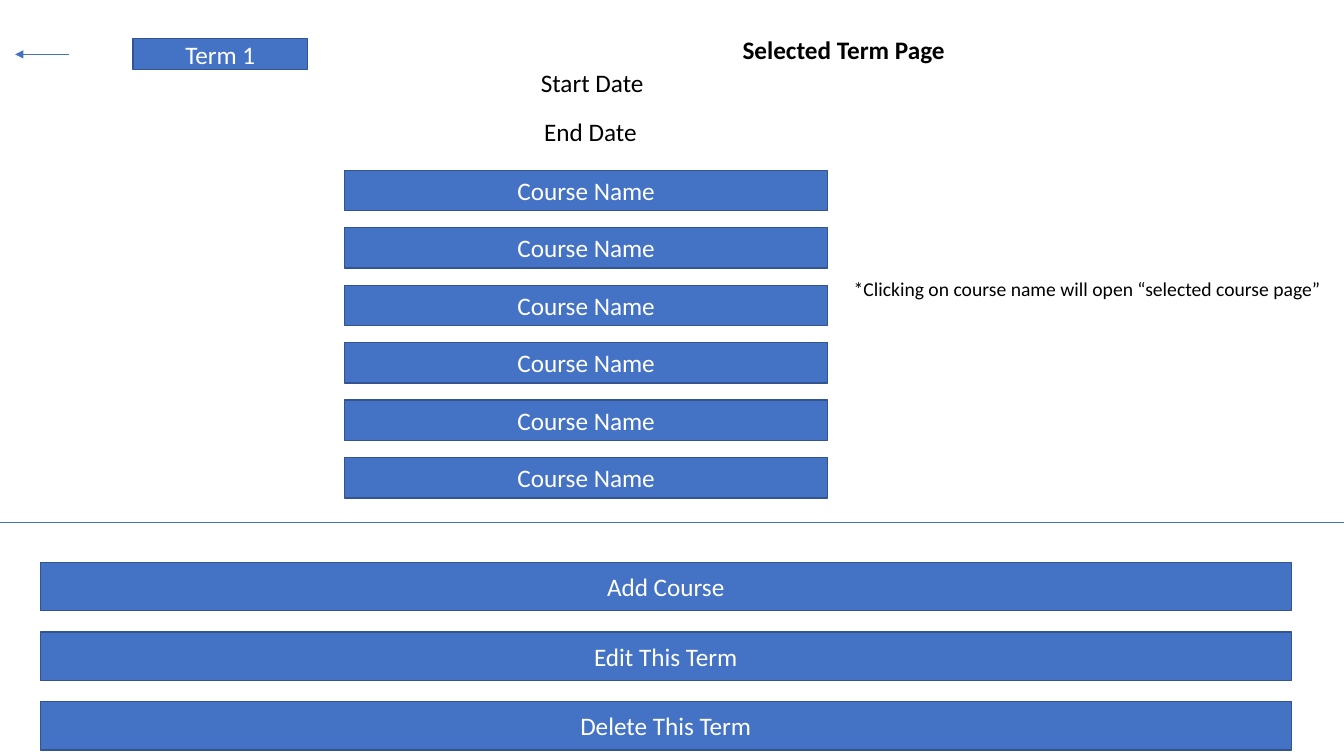
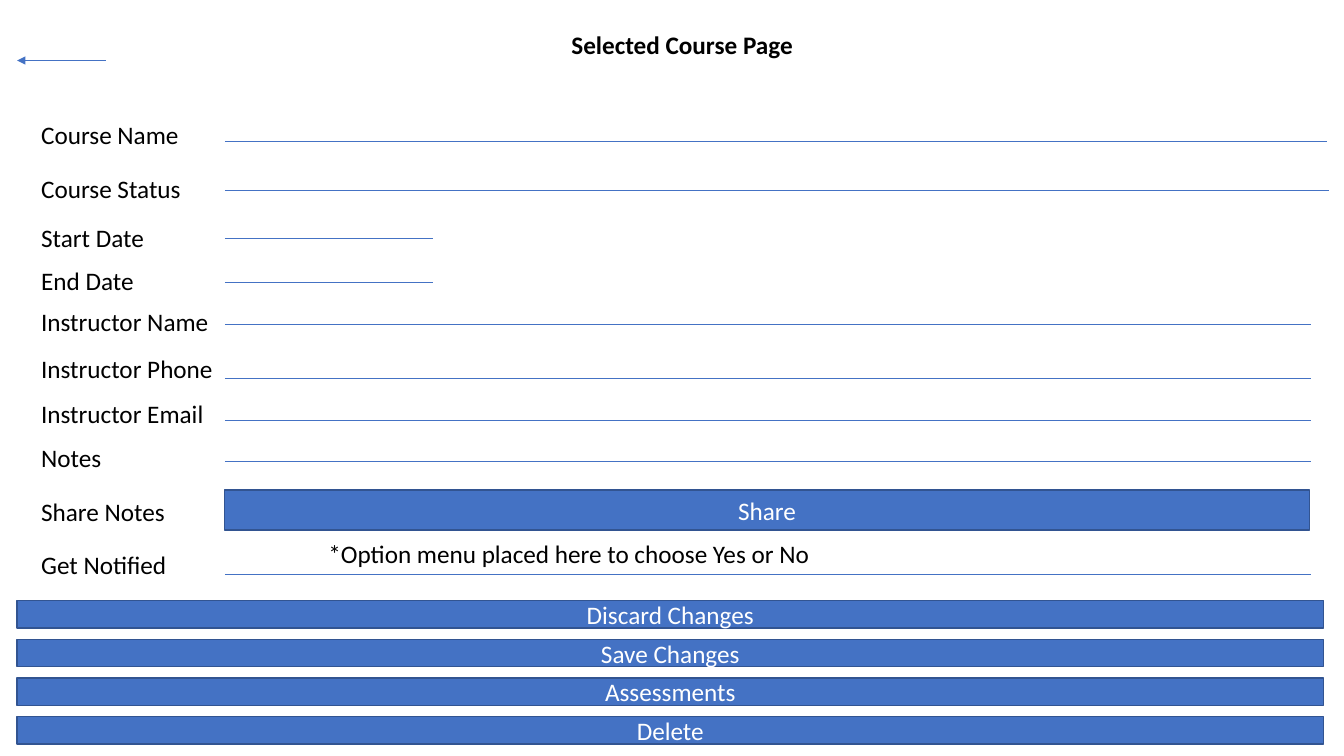
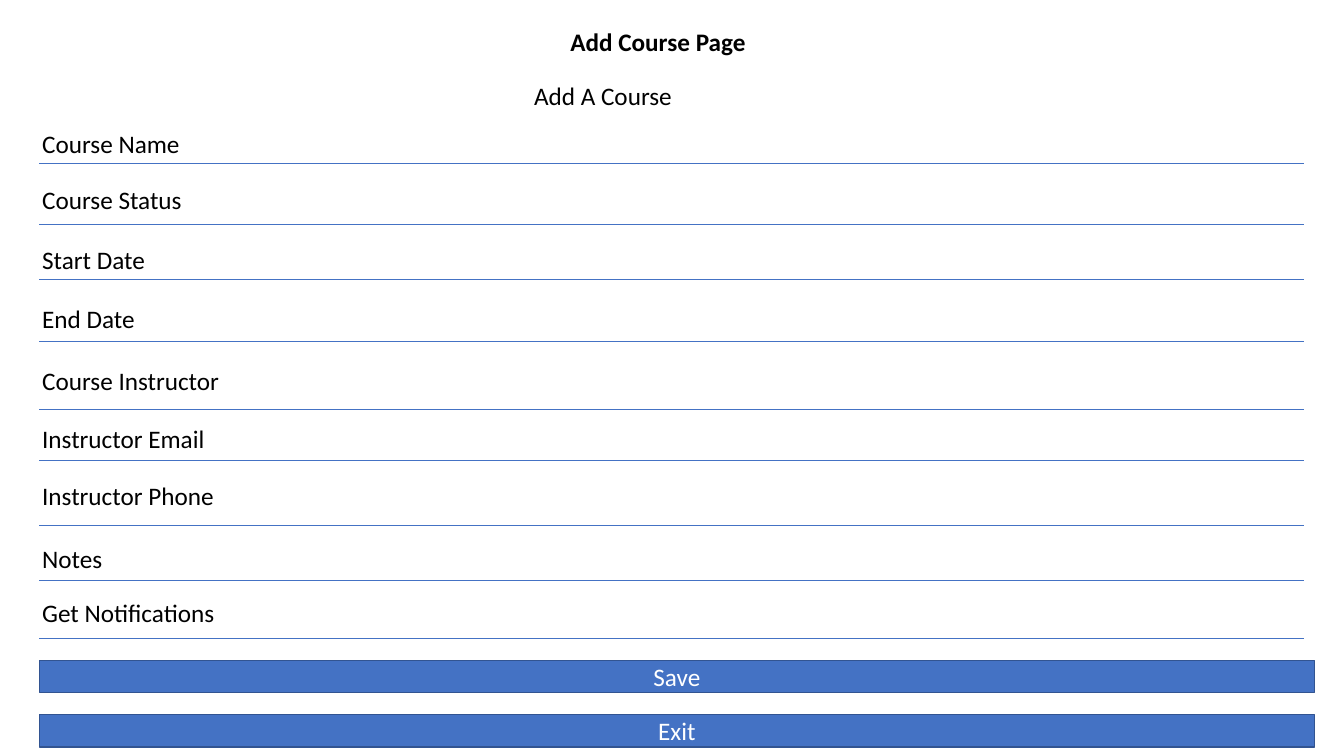
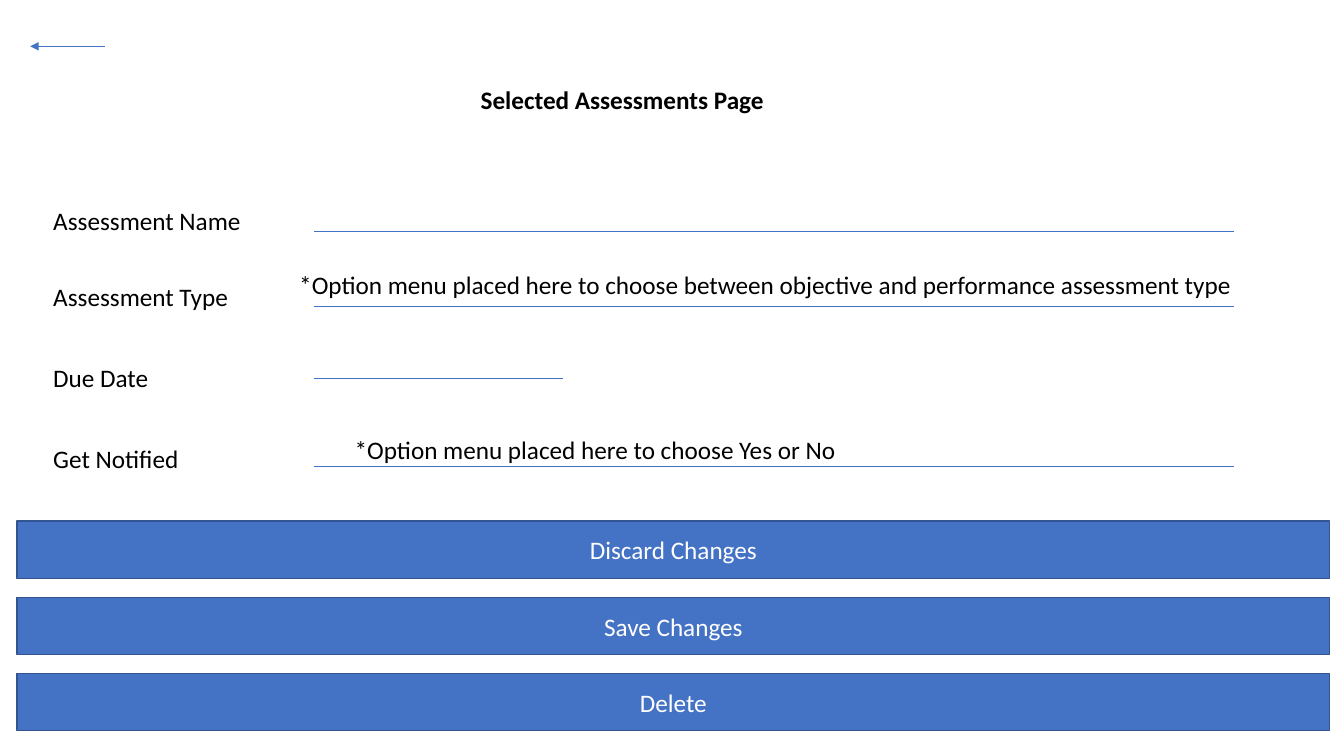
from dataclasses import dataclass

from lxml import etree
from pptx import Presentation
from pptx.dml.color import RGBColor
from pptx.enum.shapes import MSO_CONNECTOR, MSO_SHAPE
from pptx.enum.text import PP_ALIGN
from pptx.oxml.ns import qn
from pptx.util import Inches, Pt

RECTANGLE = MSO_SHAPE.RECTANGLE
STRAIGHT = MSO_CONNECTOR.STRAIGHT
LEFT, CENTER = PP_ALIGN.LEFT, PP_ALIGN.CENTER

# All lengths below are columns and rows of this grid
SLIDE_WIDTH, SLIDE_HEIGHT = Inches(13.33), Inches(7.5)
COLUMNS, ROWS = 40, 30
TEXT_ROWS = 1.6


@dataclass(frozen=True)
class Theme:
    font: str = "Calibri"
    body: float = 18
    small: float = 14
    button_line: float = 1
    rule_line: float = 0.5
    accent: RGBColor = RGBColor(0x44, 0x72, 0xC4)
    border: RGBColor = RGBColor(0x32, 0x54, 0x91)
    ink: RGBColor = RGBColor(0, 0, 0)
    on_accent: RGBColor = RGBColor(255, 255, 255)


@dataclass(frozen=True)
class Box:
    left: float
    top: float
    width: float
    height: float = TEXT_ROWS

    def emu(self):
        return (across(self.left), down(self.top),
                across(self.width), down(self.height))


@dataclass(frozen=True)
class Field:
    name: str
    top: float
    rule: float | None
    length: float | None = None  # None runs to the right edge of the form


THEME = Theme()


def across(columns):
    return round(SLIDE_WIDTH * columns / COLUMNS)


def down(rows):
    return round(SLIDE_HEIGHT * rows / ROWS)


# Basic parts
def write(frame, text, color, size=THEME.body, bold=False, align=LEFT):
    frame.word_wrap = True
    paragraph = frame.paragraphs[0]
    paragraph.text = text
    paragraph.alignment = align
    font = paragraph.font
    font.name, font.size, font.bold = THEME.font, Pt(size), bold
    font.color.rgb = color


def label(slide, box, text, **style):
    frame = slide.shapes.add_textbox(*box.emu()).text_frame
    write(frame, text, THEME.ink, **style)


def title(slide, box, text, align=LEFT):
    label(slide, box, text, bold=True, align=align)


def button(slide, box, text):
    bar = slide.shapes.add_shape(RECTANGLE, *box.emu())
    bar.shadow.inherit = False
    bar.fill.solid()
    bar.fill.fore_color.rgb = THEME.accent
    bar.line.color.rgb = THEME.border
    bar.line.width = Pt(THEME.button_line)
    write(bar.text_frame, text, THEME.on_accent, align=CENTER)


def rule(slide, start, end, row, arrow=False):
    line = slide.shapes.add_connector(
        STRAIGHT, across(start), down(row), across(end), down(row))
    line.line.color.rgb = THEME.accent
    line.line.width = Pt(THEME.rule_line)
    properties = line._element.spPr
    if arrow:
        etree.SubElement(properties.find(qn("a:ln")), qn("a:tailEnd"), type="triangle")
    etree.SubElement(properties, qn("a:effectLst"))


# Regions
def back_arrow(slide, box):
    rule(slide, box.left + box.width, box.left, box.top, arrow=True)


def button_stack(slide, box, names, height):
    """Spread buttons evenly from the top to the bottom of the box."""
    pitch = (box.height - height) / (len(names) - 1)
    for index, name in enumerate(names):
        button(slide, Box(box.left, box.top + index * pitch, box.width, height), name)


def form(slide, box, fields, rule_inset):
    """Place field names at the left and rules from the inset onwards."""
    start = box.left + rule_inset
    for field in fields:
        label(slide, Box(box.left, box.top + field.top, 6.75), field.name)
        if field.rule is not None:
            length = field.length or box.width - rule_inset
            rule(slide, start, start + length, box.top + field.rule)


# Slides
def term_page(slide):
    title(slide, Box(15.78, 1.16, 18.66), "Selected Term Page", CENTER)
    back_arrow(slide, Box(0.45, 2.16, 1.59))
    button(slide, Box(3.96, 1.52, 5.19, 1.24), "Term 1")
    label(slide, Box(15.8, 2.48, 7), "Start Date")
    label(slide, Box(15.9, 4.44, 7), "End Date")
    button_stack(slide, Box(10.26, 6.76, 14.37, 13), ["Course Name"] * 6, 1.6)
    label(slide, Box(25.11, 10.8, 14.89, 1.36),
          "*Clicking on course name will open “selected course page”", size=THEME.small)
    rule(slide, 0, COLUMNS, 20.72)
    button_stack(slide, Box(1.2, 22.32, 37.23, 7.44),
                 ["Add Course", "Edit This Term", "Delete This Term"], 1.92)


def course_page(slide):
    title(slide, Box(16.71, 0.96, 20), "Selected Course Page")
    back_arrow(slide, Box(0.51, 2.4, 2.64))
    form(slide, Box(0.93, 4.52, 38.1, 18.68), [
        Field("Course Name", 0, 1.08, 32.79),
        Field("Course Status", 2.16, 3.04, 32.85),
        Field("Start Date", 4.12, 4.92, 6.21),
        Field("End Date", 5.8, 6.68, 6.21),
        Field("Instructor Name", 7.44, 8.36),
        Field("Instructor Phone", 9.32, 10.48),
        Field("Instructor Email", 11.08, 12.16),
        Field("Notes", 12.84, 13.8),
        Field("Share Notes", 14.96, None),
        Field("Get Notified", 17.08, 18.28),
    ], 5.76)
    button(slide, Box(6.69, 19.44, 32.28, 1.6), "Share")
    label(slide, Box(9.48, 21.16, 15.75), "*Option menu placed here to choose Yes or No")
    button_stack(slide, Box(0.51, 23.84, 38.88, 5.68),
                 ["Discard Changes", "Save Changes", "Assessments", "Delete"], 1.08)


def add_course_page(slide):
    title(slide, Box(16.68, 0.84, 7), "Add Course Page")
    label(slide, Box(15.6, 3, 5.01), "Add A Course")
    form(slide, Box(0.96, 4.88, 37.86, 20.44), [
        Field("Course Name", 0, 1.6),
        Field("Course Status", 2.24, 4.04),
        Field("Start Date", 4.6, 6.2),
        Field("End Date", 6.96, 8.68),
        Field("Course Instructor", 9.44, 11.36),
        Field("Instructor Email", 11.72, 13.4),
        Field("Instructor Phone", 14, 15.96),
        Field("Notes", 16.48, 18.16),
        Field("Get Notifications", 18.64, 20.44),
    ], 0.21)
    button_stack(slide, Box(1.17, 26.2, 37.95, 3.44), ["Save", "Exit"], 1.28)


def assessment_page(slide):
    back_arrow(slide, Box(0.9, 1.84, 2.22))
    title(slide, Box(14.01, 3.16, 10), "Selected Assessments Page")
    form(slide, Box(1.29, 7.96, 35.43, 11.04), [
        Field("Assessment Name", 0, 1.24),
        Field("Assessment Type", 3, 4.2),
        Field("Due Date", 6.24, 7.04, 7.41),
        Field("Get Notified", 9.44, 10.56),
    ], 8.07)
    label(slide, Box(8.61, 10.48, 29), "*Option menu placed here to choose between "
          "objective and performance assessment type")
    label(slide, Box(10.26, 17.04, 16.11), "*Option menu placed here to choose Yes or No")
    button_stack(slide, Box(0.51, 20.68, 39.06, 8.32),
                 ["Discard Changes", "Save Changes", "Delete"], 2.28)


deck = Presentation()
deck.slide_width, deck.slide_height = SLIDE_WIDTH, SLIDE_HEIGHT
blank = deck.slide_layouts[6]
for build_page in (term_page, course_page, add_course_page, assessment_page):
    build_page(deck.slides.add_slide(blank))
deck.save("out.pptx")
